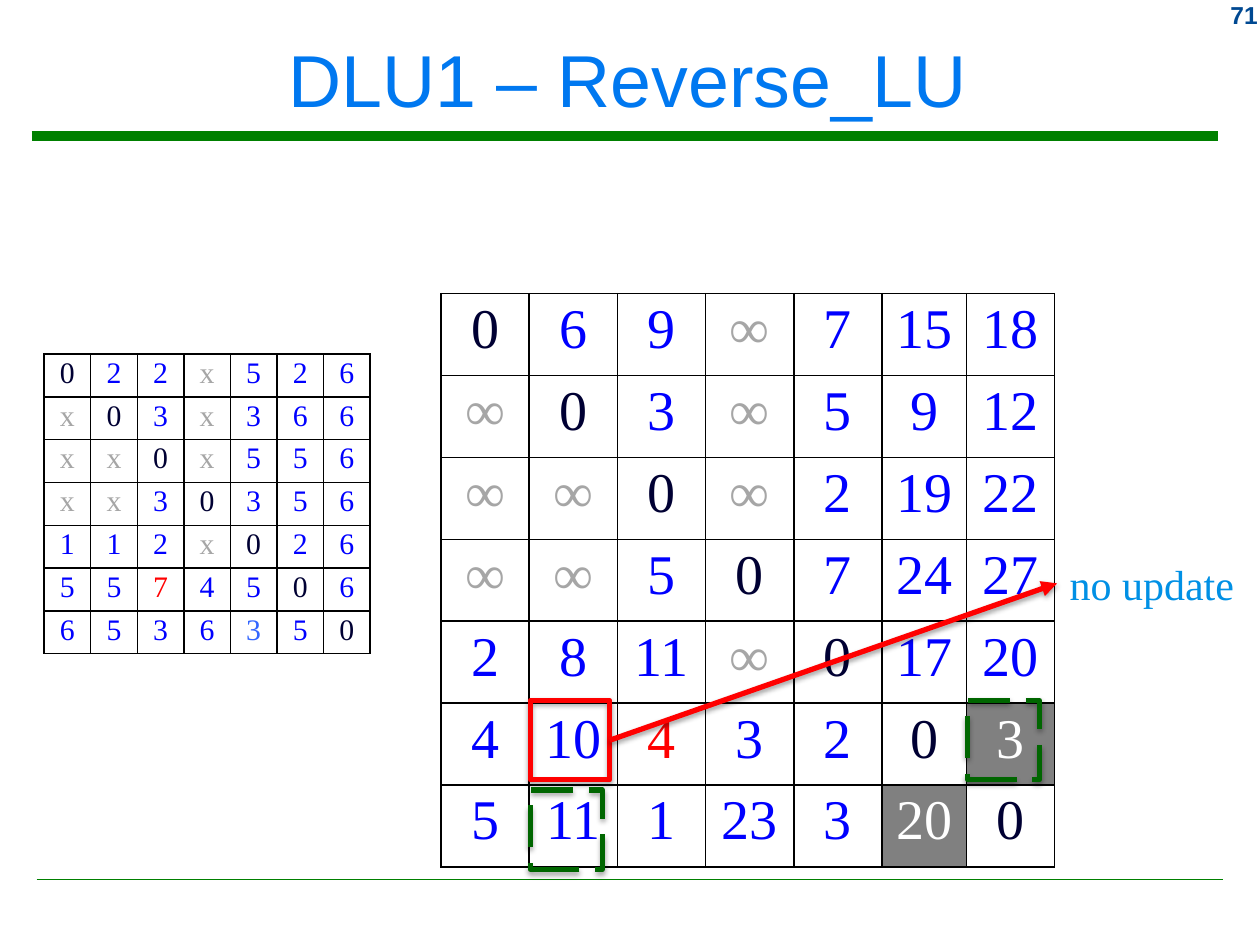
import pptx
import pptx.util
import pptx.oxml
import pptx.oxml.ns
import pptx.dml.color
import pptx.enum.dml
import pptx.enum.shapes
import pptx.enum.text

Inches, Pt = pptx.util.Inches, pptx.util.Pt
RGBColor = pptx.dml.color.RGBColor
ALIGN = pptx.enum.text.PP_ALIGN
KIND = pptx.enum.shapes.MSO_SHAPE
LINE = pptx.enum.shapes.MSO_CONNECTOR.STRAIGHT
DASH = pptx.enum.dml.MSO_LINE.LONG_DASH
NS = pptx.oxml.ns.nsdecls("a")

WHITE = RGBColor(0xFF, 0xFF, 0xFF)
GREY = RGBColor(0x80, 0x80, 0x80)
PALE = RGBColor(0xA6, 0xA6, 0xA6)
NAVY = RGBColor(0x00, 0x00, 0x33)
BLUE = RGBColor(0x00, 0x00, 0xFF)
SOFT = RGBColor(0x33, 0x66, 0xFF)
RED = RGBColor(0xFF, 0x00, 0x00)
GREEN = RGBColor(0x00, 0x80, 0x00)
DEEP = RGBColor(0x00, 0x66, 0x00)
TITLE = RGBColor(0x00, 0x78, 0xF0)
NOTE = RGBColor(0x00, 0x90, 0xE5)
PAGE = RGBColor(0x00, 0x49, 0x92)


def style(para, size, name, color, align=ALIGN.LEFT):
    para.alignment = align
    for run in para.runs:
        run.font.size = Pt(size)
        run.font.name = name
        run.font.color.rgb = color


def stroke(shape, color, width, shade=None):
    """Set the line, then a shadow of the given (alpha, distance) or none."""
    shape.line.color.rgb = color
    shape.line.width = Pt(width)
    drop = ""
    if shade:
        drop = (f'<a:outerShdw blurRad="{Pt(3.1)}" dist="{Pt(shade[1])}" dir="5400000" rotWithShape="0">'
                f'<a:srgbClr val="000000"><a:alpha val="{shade[0] * 1000}"/></a:srgbClr></a:outerShdw>')
    shape.element.spPr.append(pptx.oxml.parse_xml(f"<a:effectLst {NS}>{drop}</a:effectLst>"))


deck = pptx.Presentation()
deck.slide_width, deck.slide_height = Inches(10), Inches(7.5)
slide = deck.slides.add_slide(deck.slide_layouts[5])
shapes = slide.shapes

# Title
title = shapes.title
title.left, title.top, title.width, title.height = map(Inches, (0.08, 0.09, 9.8, 1.06))
title.text_frame.text = "DLU1 – Reverse_LU"
title.text_frame.vertical_anchor = pptx.enum.text.MSO_ANCHOR.MIDDLE
style(title.text_frame.paragraphs[0], 42, "Arial", TITLE, ALIGN.CENTER)

# Rules above and below the content
for left, top, width in ((0.25, 1.08, 5.25), (0.29, 6.98, 1)):
    rule = shapes.add_connector(LINE, Inches(left), Inches(top), Inches(left + 9.42), Inches(top))
    stroke(rule, GREEN, width)

# Page number
page = shapes.add_textbox(Inches(9.17), Inches(-0.05), Inches(0.91), Inches(0.33)).text_frame
page.word_wrap = True
page.text = "71"
style(page.paragraphs[0], 14, "Arial", PAGE, ALIGN.RIGHT)
page.paragraphs[0].runs[0].font.bold = True

# Matrices: blue numbers, navy diagonal, pale gaps, and marked cells
costs = """0 6 9 ∞ 7 15 18
∞ 0 3 ∞ 5 9 12
∞ ∞ 0 ∞ 2 19 22
∞ ∞ 5 0 7 24 27
2 8 11 ∞ 0 17 20
4 10 4 3 2 0 3
5 11 1 23 3 20 0"""
hops = """0 2 2 x 5 2 6
x 0 3 x 3 6 6
x x 0 x 5 5 6
x x 3 0 3 5 6
1 1 2 x 0 2 6
5 5 7 4 5 0 6
6 5 3 6 3 5 0"""
grids = (
    (costs, 3.5, 2.33, [0.7] * 5 + [0.67, 0.7], 0.65, 32, (0.09, 0.04),
     {(5, 2): RED, (5, 6): WHITE, (6, 5): WHITE}),
    (hops, 0.35, 2.81, [0.37] * 7, 0.34, 17, (0.05, 0.02), {(5, 2): RED, (6, 4): SOFT}),
)
for data, left, top, widths, height, size, (side, edge), marks in grids:
    table = shapes.add_table(7, 7, Inches(left), Inches(top),
                             Inches(sum(widths)), Inches(7 * height)).table
    table.first_row = table.horz_banding = False
    for col, width in zip(table.columns, widths):
        col.width = Inches(width)
    for i, line in enumerate(data.splitlines()):
        table.rows[i].height = Inches(height)
        for j, value in enumerate(line.split()):
            cell = table.cell(i, j)
            cell.margin_left = cell.margin_right = Inches(side)
            cell.margin_top = cell.margin_bottom = Inches(edge)
            for tag in ("lnL", "lnR", "lnT", "lnB"):
                cell._tc.get_or_add_tcPr().append(pptx.oxml.parse_xml(
                    f'<a:{tag} {NS} w="{Pt(1)}"><a:solidFill><a:srgbClr val="000000"/>'
                    f"</a:solidFill></a:{tag}>"))
            color = NAVY if i == j else PALE if value in "∞x" else BLUE
            color = marks.get((i, j), color)
            cell.fill.solid()
            cell.fill.fore_color.rgb = GREY if color == WHITE else WHITE
            cell.text_frame.text = value
            style(cell.text_frame.paragraphs[0], size, "Times New Roman", color, ALIGN.CENTER)

# Frames around the compared cells; the red one is grouped with its note
group = shapes.add_group_shape()
frames = []
for home, left, top, width, color, dash in (
        (group.shapes, 4.21, 5.56, 0.63, RED, None),
        (shapes, 4.21, 6.27, 0.57, DEEP, DASH),
        (shapes, 7.68, 5.56, 0.57, DEEP, DASH)):
    frame = home.add_shape(KIND.RECTANGLE, Inches(left), Inches(top), Inches(width), Inches(0.63))
    frame.fill.background()
    frame.line.dash_style = dash
    stroke(frame, color, 3, (35, 1.8))
    frames.append(frame)

# Arrow from the red frame to the note
arrow = group.shapes.add_connector(LINE, Inches(4.84), Inches(5.88), Inches(8.39), Inches(4.63))
stroke(arrow, RED, 3, (38, 1.6))
arrow.line.fill.solid()
arrow.line.color.rgb = RED
arrow.element.spPr.find(pptx.oxml.ns.qn("a:ln")).append(
    pptx.oxml.parse_xml(f'<a:tailEnd {NS} type="triangle"/>'))
note = group.shapes.add_textbox(Inches(8.39), Inches(4.38), Inches(1.52), Inches(0.5))
note.text_frame.word_wrap = False
note.text_frame.text = "no update"
style(note.text_frame.paragraphs[0], 24, "Times New Roman", NOTE)
arrow.begin_connect(frames[0], 3)
arrow.end_connect(note, 1)

deck.save("out.pptx")
